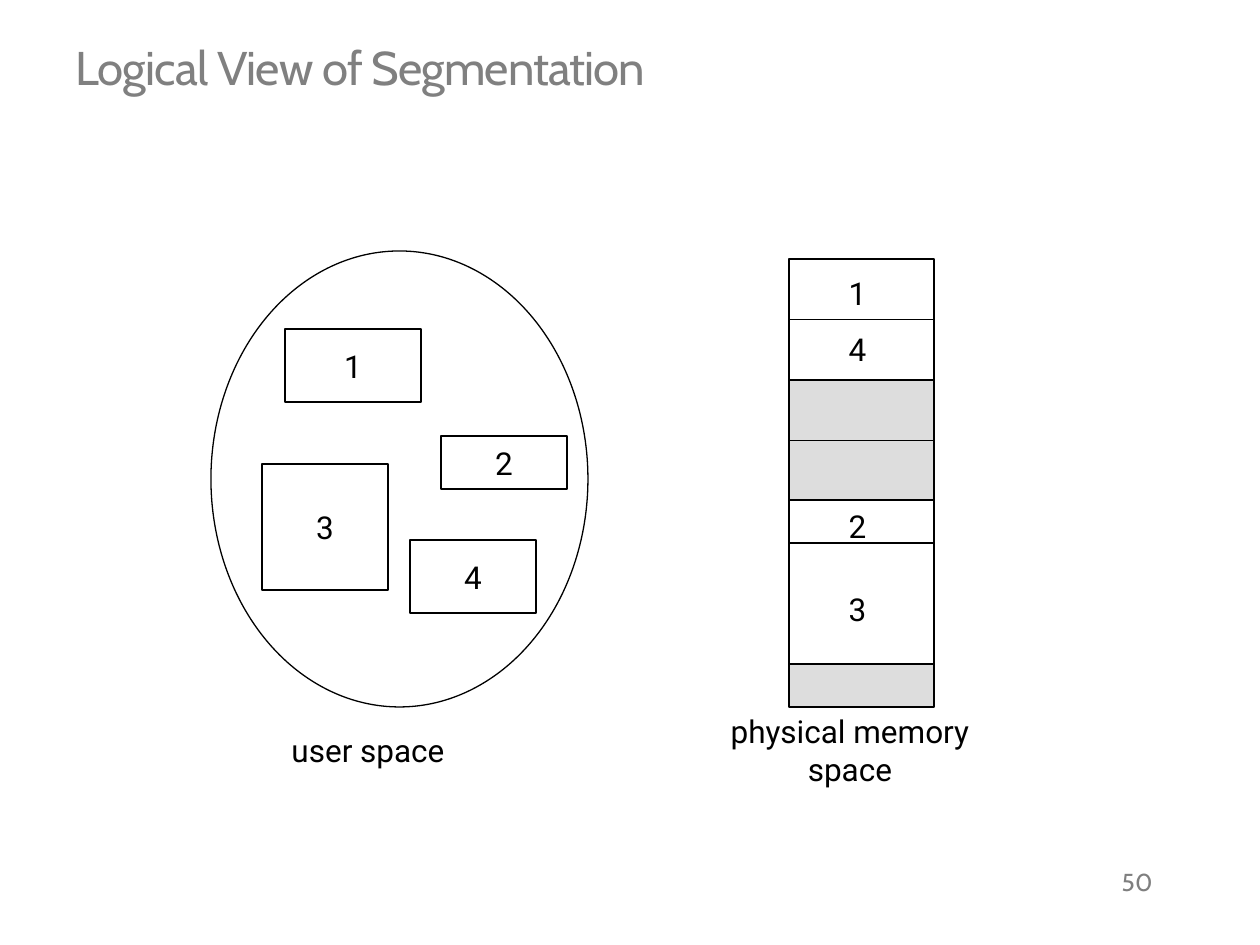
"""Build the slide on the logical view of segmentation."""
import pptx
import pptx.dml.color
import pptx.enum.shapes
import pptx.enum.text
import pptx.util
from lxml import etree

SCALE = 914400 / 126
KIND = pptx.enum.shapes.MSO_SHAPE
ALIGN = pptx.enum.text.PP_ALIGN
ANCHOR = pptx.enum.text.MSO_ANCHOR
BODY = {"name": "Roboto", "size": pptx.util.Pt(18)}
HEAD = {"name": "Cabin", "size": pptx.util.Pt(27)}
FOOT = {"name": "Cabin", "size": pptx.util.Pt(14)}
MID = {"vertical_anchor": ANCHOR.MIDDLE, "word_wrap": False}
TOP = {"vertical_anchor": ANCHOR.TOP, "word_wrap": True}
SIDE = pptx.util.Emu(round(18 * SCALE))


def px(*nums):
    return [pptx.util.Emu(round(num * SCALE)) for num in nums]


def write(frame, text, font, tint, align, form):
    for key, val in form.items():
        setattr(frame, key, val)
    para = frame.paragraphs[0]
    para.alignment = align
    run = para.add_run()
    run.text = text
    for key, val in font.items():
        setattr(run.font, key, val)
    run.font.color.rgb = pptx.dml.color.RGBColor.from_string(tint)
    return para


deck = pptx.Presentation()
deck.slide_width, deck.slide_height = px(1260, 945)
slide = deck.slides.add_slide(deck.slide_layouts[5])
shapes = slide.shapes

title = shapes.title
title.left, title.top, title.width, title.height = px(63, 38, 1134, 79)
para = write(title.text_frame, "Logical View of Segmentation", HEAD, "808080", ALIGN.LEFT, TOP)
para.line_spacing = 0.9
para.runs[0]._r.get_or_add_rPr().set("spc", "-50")

parts = [
    (KIND.OVAL, 211, 251, 377, 456, "FFFFFF", ""),
    (KIND.RECTANGLE, 285, 329, 136, 73, "FFFFFF", "1"),
    (KIND.RECTANGLE, 262, 464, 126, 126, "FFFFFF", "3"),
    (KIND.RECTANGLE, 441, 436, 126, 53, "FFFFFF", "2"),
    (KIND.RECTANGLE, 410, 540, 126, 73, "FFFFFF", "4"),
    (KIND.RECTANGLE, 789, 259, 145, 121, "FFFFFF", ""),
    (KIND.RECTANGLE, 789, 380, 145, 121, "DDDDDD", ""),
    (KIND.RECTANGLE, 789, 500, 145, 164, "FFFFFF", ""),
    (KIND.RECTANGLE, 789, 664, 145, 43, "DDDDDD", ""),
]
drawn = []
for kind, left, top, wide, high, fill, text in parts:
    part = shapes.add_shape(kind, *px(left, top, wide, high))
    part.shadow.inherit = False
    part.fill.solid()
    part.fill.fore_color.rgb = pptx.dml.color.RGBColor.from_string(fill)
    part.line.color.rgb = pptx.dml.color.RGBColor.from_string("000000")
    part.line.width = pptx.util.Pt(0.75)
    if text:
        write(part.text_frame, text, BODY, "000000", ALIGN.CENTER, MID)
    drawn.append(part)

for top, block in [(319, drawn[5]), (440, drawn[6]), (543, None)]:
    rule = shapes.add_connector(pptx.enum.shapes.MSO_CONNECTOR.STRAIGHT, *px(789, top, 934, top))
    if block:
        rule.begin_connect(block, 1)
        rule.end_connect(block, 3)
    rule.line.color.rgb = pptx.dml.color.RGBColor.from_string("000000")
    rule.line.width = pptx.util.Pt(0.75)
    etree.SubElement(rule._element.spPr, pptx.oxml.ns.qn("a:effectLst"))

wrap = {**MID, "word_wrap": True, "margin_left": SIDE, "margin_right": SIDE}
labels = [
    ("1", 836, 268, 43, MID),
    ("4", 836, 324, 43, MID),
    ("2", 836, 501, 43, MID),
    ("3", 836, 584, 43, MID),
    ("user space ", 278, 725, 188, MID),
    ("physical memory space", 673, 725, 354, wrap),
]
for text, left, top, wide, form in labels:
    box = shapes.add_textbox(*px(left, top, wide, 50))
    write(box.text_frame, text, BODY, "000000", ALIGN.CENTER, form)

page = shapes.add_textbox(*px(903, 861, 262, 63))
write(page.text_frame, "50", FOOT, "7F7F7F", ALIGN.RIGHT, TOP)

deck.save("out.pptx")
